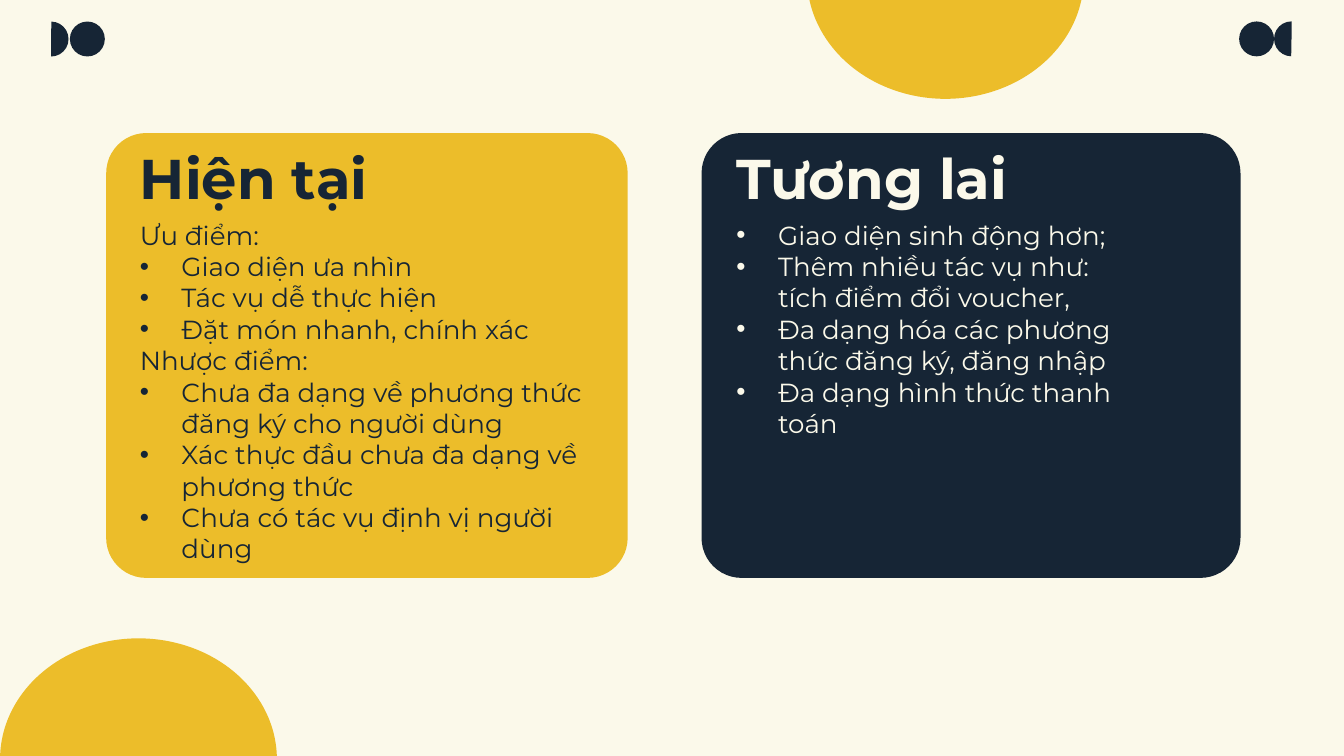
from dataclasses import dataclass

import pptx
import pptx.dml.color
import pptx.enum.shapes
import pptx.enum.text
import pptx.oxml.ns
import pptx.slide
import pptx.util
from lxml import etree
from pptx.dml.color import RGBColor
from pptx.enum.shapes import MSO_SHAPE
from pptx.util import Inches

NAVY = RGBColor(0x16, 0x25, 0x35)
YELLOW = RGBColor(0xEC, 0xBD, 0x2A)
CREAM = RGBColor(0xFB, 0xF9, 0xEA)
FONT = "Montserrat"
BULLET_FONT = "Arial"
BULLET_INDENT = 0.31
SLIDE_WIDTH = 10
SLIDE_HEIGHT = SLIDE_WIDTH * 9 / 16
CARD_TOP = 0.99
BODY_TOP = 1.63


@dataclass(frozen=True)
class Box:
    left: float
    top: float
    width: float
    height: float

    def lengths(self) -> tuple:
        return tuple(Inches(side) for side in (self.left, self.top, self.width, self.height))


@dataclass(frozen=True)
class Figure:
    preset: MSO_SHAPE
    box: Box
    color: RGBColor
    rotation: float = 0
    adjustments: tuple[float, ...] = ()


@dataclass(frozen=True)
class Line:
    text: str
    bulleted: bool = True


@dataclass(frozen=True)
class Card:
    title: str
    lines: tuple[Line, ...]
    left: float
    width: float
    text_left: float
    title_width: float
    body_width: float
    fill: RGBColor
    text_color: RGBColor


SMALL_HALF = (54.58, 162)
LARGE_HALF = (53.46, 162)
DECORATIONS = (
    Figure(MSO_SHAPE.PIE, Box(0.25, 0.16, 0.26, 0.26), NAVY, 180, SMALL_HALF),
    Figure(MSO_SHAPE.OVAL, Box(0.52, 0.16, 0.26, 0.26), NAVY, 180),
    Figure(MSO_SHAPE.PIE, Box(9.48, 0.16, 0.26, 0.26), NAVY, 0, SMALL_HALF),
    Figure(MSO_SHAPE.OVAL, Box(9.22, 0.16, 0.26, 0.26), NAVY),
    Figure(MSO_SHAPE.PIE, Box(0.13, 4.62, 1.8, 2.06), YELLOW, 90, LARGE_HALF),
    Figure(MSO_SHAPE.PIE, Box(6.13, -1.2, 1.81, 2.06), YELLOW, 270, LARGE_HALF),
)
CARDS = (
    Card(
        "Hiện tại",
        (
            Line("Ưu điểm:", bulleted=False),
            Line("Giao diện ưa nhìn"),
            Line("Tác vụ dễ thực hiện"),
            Line("Đặt món nhanh, chính xác"),
            Line("Nhược điểm:", bulleted=False),
            Line("Chưa đa dạng về phương thức đăng ký cho người dùng"),
            Line("Xác thực đầu chưa đa dạng về phương thức"),
            Line("Chưa có tác vụ định vị người dùng"),
        ),
        0.79, 3.88, 1.04, 2.73, 3.58, YELLOW, NAVY,
    ),
    Card(
        "Tương lai",
        (
            Line("Giao diện sinh động hơn;"),
            Line("Thêm nhiều tác vụ như: tích điểm đổi voucher,"),
            Line("Đa dạng hóa các phương thức đăng ký, đăng nhập"),
            Line("Đa dạng hình thức thanh toán"),
        ),
        5.22, 4.01, 5.48, 3.15, 2.87, NAVY, CREAM,
    ),
)


def draw_figure(slide: pptx.slide.Slide, figure: Figure) -> None:
    shape = slide.shapes.add_shape(figure.preset, *figure.box.lengths())
    shape.shadow.inherit = False
    shape.fill.solid()
    shape.fill.fore_color.rgb = figure.color
    shape.line.fill.background()
    shape.rotation = figure.rotation
    for index, value in enumerate(figure.adjustments):
        shape.adjustments[index] = value


def add_bullet(paragraph, color: RGBColor) -> None:
    properties = paragraph._p.get_or_add_pPr()
    properties.set("marL", str(Inches(BULLET_INDENT)))
    properties.set("indent", str(-Inches(BULLET_INDENT)))
    qualify = pptx.oxml.ns.qn
    bullet_color = etree.SubElement(properties, qualify("a:buClr"))
    etree.SubElement(bullet_color, qualify("a:srgbClr"), val=str(color))
    etree.SubElement(properties, qualify("a:buFont"), typeface=BULLET_FONT)
    etree.SubElement(properties, qualify("a:buChar"), char="•")


def write_text(shape, lines: tuple[Line, ...], *, box: Box, size: float, color: RGBColor,
               bold: bool = False, anchor=pptx.enum.text.MSO_ANCHOR.TOP) -> None:
    shape.left, shape.top, shape.width, shape.height = box.lengths()
    frame = shape.text_frame
    frame.word_wrap = True
    frame.auto_size = pptx.enum.text.MSO_AUTO_SIZE.NONE
    frame.vertical_anchor = anchor
    frame.margin_left = frame.margin_top = frame.margin_right = frame.margin_bottom = 0
    for index, line in enumerate(lines):
        paragraph = frame.add_paragraph() if index else frame.paragraphs[0]
        paragraph.alignment = pptx.enum.text.PP_ALIGN.LEFT
        if line.bulleted:
            add_bullet(paragraph, color)
        run = paragraph.add_run()
        run.text = line.text
        run.font.name = FONT
        run.font.size = pptx.util.Pt(size)
        run.font.bold = bold
        run.font.color.rgb = color


def add_text_box(slide: pptx.slide.Slide):
    return slide.shapes.add_textbox(0, 0, 0, 0)


def draw_card(slide: pptx.slide.Slide, card: Card, title_shape) -> None:
    draw_figure(slide, Figure(MSO_SHAPE.ROUNDED_RECTANGLE,
                              Box(card.left, CARD_TOP, card.width, 3.31),
                              card.fill, adjustments=(0.09,)))
    write_text(add_text_box(slide), card.lines,
               box=Box(card.text_left, BODY_TOP, card.body_width, 2.44),
               size=14, color=card.text_color)
    slide.shapes.element.append(title_shape.element)
    write_text(title_shape, (Line(card.title, bulleted=False),),
               box=Box(card.text_left, CARD_TOP, card.title_width, 0.65),
               size=30, color=card.text_color, bold=True,
               anchor=pptx.enum.text.MSO_ANCHOR.MIDDLE)


def main() -> None:
    presentation = pptx.Presentation()
    presentation.slide_width = Inches(SLIDE_WIDTH)
    presentation.slide_height = Inches(SLIDE_HEIGHT)
    slide = presentation.slides.add_slide(presentation.slide_layouts[5])
    slide.background.fill.solid()
    slide.background.fill.fore_color.rgb = CREAM
    for figure in DECORATIONS:
        draw_figure(slide, figure)
    present, future = CARDS
    draw_card(slide, present, slide.shapes.title)
    draw_card(slide, future, add_text_box(slide))
    presentation.save("out.pptx")


if __name__ == "__main__":
    main()
